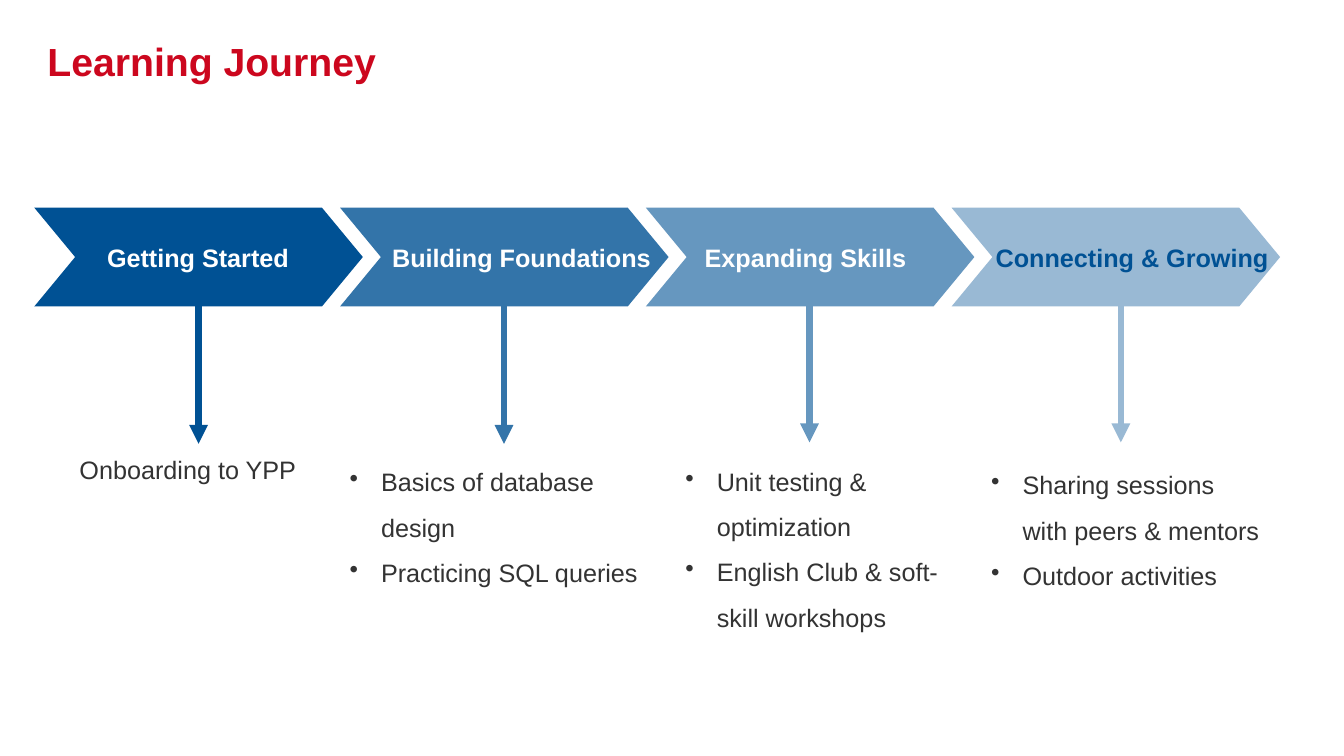
from lxml.etree import SubElement
from pptx import Presentation
from pptx.dml.color import RGBColor
from pptx.enum.shapes import MSO_CONNECTOR
from pptx.enum.text import MSO_ANCHOR, MSO_AUTO_SIZE, PP_ALIGN
from pptx.oxml.ns import qn
from pptx.util import Pt

RED = RGBColor(0xCC, 0x07, 0x1E)
NAVY = RGBColor(0x00, 0x51, 0x94)
BLUE = RGBColor(0x33, 0x74, 0xA9)
STEEL = RGBColor(0x66, 0x97, 0xBF)
PALE = RGBColor(0x99, 0xB9, 0xD4)
WHITE = RGBColor(0xFF, 0xFF, 0xFF)
INK = RGBColor(0x33, 0x33, 0x33)

CHEVRON_LEFT, CHEVRON_TOP, CHEVRON_PITCH = 24.5, 148.3, 218.4
CHEVRON_WIDTH, CHEVRON_HEIGHT, NOTCH = 234.7, 70.6, 29.2
BULLET_INDENT = Pt(22.5)

# name, fill, label colour, label inset, arrow (x, top, bottom), details box, details
STAGES = [
    ("Getting Started", NAVY, WHITE, 52, (141.85, 218.9, 317),
     (49.7, 321.1, 185, 29), ["Onboarding to YPP"]),
    ("Building Foundations", BLUE, WHITE, 37.2, (360, 218.9, 317),
     (242.6, 319, 234.7, 101.5), ["Basics of database design", "Practicing SQL queries"]),
    ("Expanding Skills", STEEL, WHITE, 42, (578.2, 217.5, 316),
     (482.4, 318.5, 209.5, 134), ["Unit testing & optimization", "English Club & soft-skill workshops"]),
    ("Connecting & Growing", PALE, NAVY, 31.5, (800.6, 217.5, 316),
     (700.8, 321.2, 209.5, 101.5), ["Sharing sessions with peers & mentors", "Outdoor activities"]),
]


def set_font(paragraph, size, color, bold=False):
    paragraph.font.name = "Arial"
    paragraph.font.size = Pt(size)
    paragraph.font.bold = bold
    paragraph.font.color.rgb = color


presentation = Presentation()
presentation.slide_width, presentation.slide_height = Pt(960), Pt(540)
slide = presentation.slides.add_slide(presentation.slide_layouts[6])
shapes = slide.shapes

title = shapes.add_textbox(Pt(33.9), Pt(0), Pt(765.4), Pt(86.4)).text_frame
title.margin_left = title.margin_right = title.margin_top = title.margin_bottom = 0
title.word_wrap = True
title.vertical_anchor = MSO_ANCHOR.MIDDLE
title.text = "Learning Journey"
set_font(title.paragraphs[0], 28, RED, True)

for index, (name, fill, label_color, inset, arrow_ends, box, details) in enumerate(STAGES):
    left = CHEVRON_LEFT + index * CHEVRON_PITCH
    right = left + CHEVRON_WIDTH
    middle = CHEVRON_TOP + CHEVRON_HEIGHT / 2
    bottom = CHEVRON_TOP + CHEVRON_HEIGHT
    outline = shapes.build_freeform(Pt(left), Pt(CHEVRON_TOP))
    corners = [(left + NOTCH, middle), (left, bottom), (right - NOTCH, bottom),
               (right, middle), (right - NOTCH, CHEVRON_TOP)]
    outline.add_line_segments([(Pt(x), Pt(y)) for x, y in corners], close=True)
    chevron = outline.convert_to_shape()
    chevron.shadow.inherit = False
    chevron.fill.solid()
    chevron.fill.fore_color.rgb = fill
    chevron.line.fill.background()
    label = chevron.text_frame
    label.word_wrap = True
    label.vertical_anchor = MSO_ANCHOR.MIDDLE
    label.margin_left, label.margin_right = Pt(inset), 0
    label.text = name
    label.paragraphs[0].alignment = PP_ALIGN.LEFT
    set_font(label.paragraphs[0], 18, label_color, True)

    x, start, end = arrow_ends
    arrow = shapes.add_connector(MSO_CONNECTOR.STRAIGHT, Pt(x), Pt(start), Pt(x), Pt(end))
    arrow.line.color.rgb = fill
    arrow.line.width = Pt(4.5)
    SubElement(arrow.line._get_or_add_ln(), qn("a:tailEnd"), type="triangle")
    SubElement(arrow._element.spPr, qn("a:effectLst"))

    activities = shapes.add_textbox(*map(Pt, box)).text_frame
    activities.word_wrap = True
    activities.auto_size = MSO_AUTO_SIZE.SHAPE_TO_FIT_TEXT
    activities.text = "\n".join(details)
    for paragraph in activities.paragraphs:
        set_font(paragraph, 18, INK)
        if len(details) > 1:
            paragraph.line_spacing = 1.5
            properties = paragraph._p.get_or_add_pPr()
            properties.set("marL", str(BULLET_INDENT))
            properties.set("indent", str(-BULLET_INDENT))
            bullet = SubElement(properties, qn("a:buChar"), char="•")
            properties.find(qn("a:defRPr")).addprevious(bullet)

presentation.save("out.pptx")
